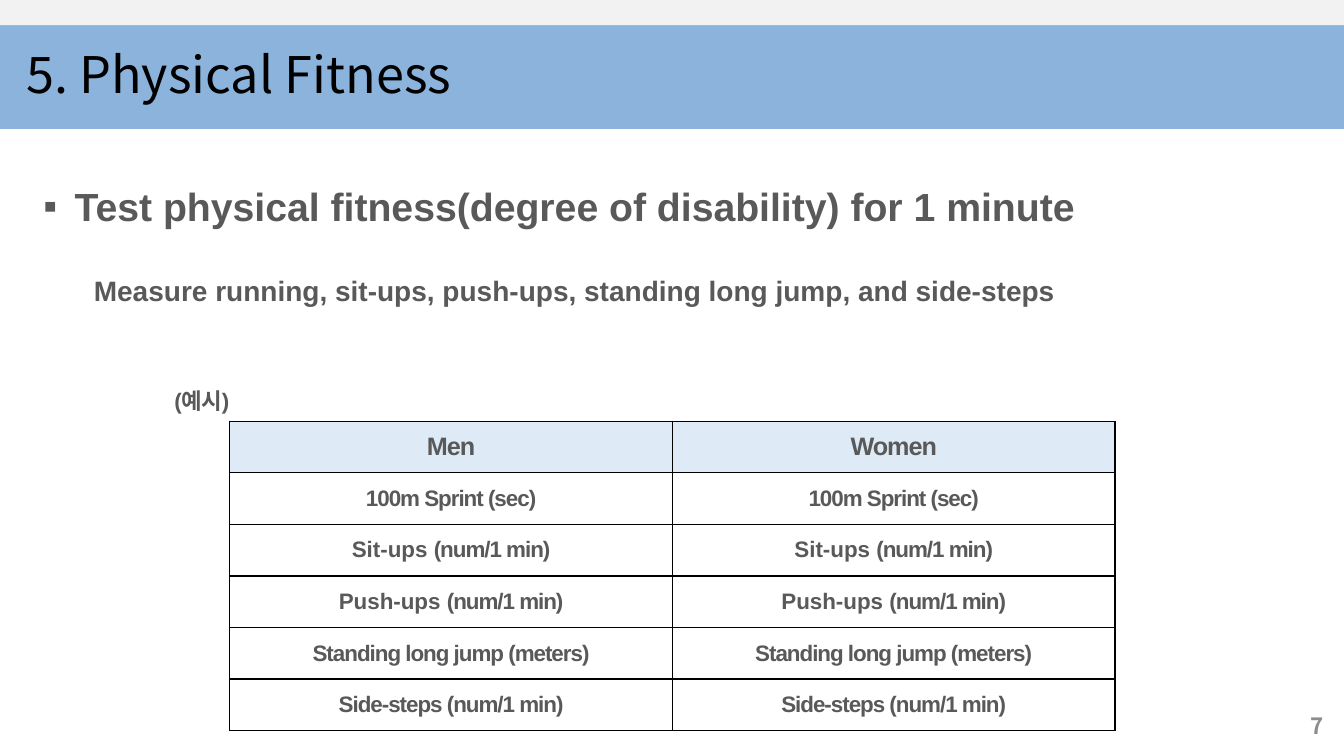
from lxml.etree import SubElement
from pptx import Presentation
from pptx.dml.color import RGBColor
from pptx.enum.shapes import MSO_SHAPE
from pptx.enum.text import MSO_ANCHOR, MSO_AUTO_SIZE, PP_ALIGN
from pptx.oxml.ns import qn
from pptx.util import Inches, Pt

TITLE = "5. Physical Fitness"
HEADLINE = "Test physical fitness(degree of disability) for 1 minute"
DETAIL = "Measure running, sit-ups, push-ups, standing long jump, and side-steps"
EXAMPLE_LABEL = "(예시)"
PAGE_NUMBER = "7"
GROUPS = ["Men", "Women"]
TESTS = [
    [("100m Sprint (sec)", -70)],
    [("Sit-ups ", 0), ("(num/1 min)", -70)],
    [("Push-ups ", 0), ("(num/1 min)", -70)],
    [("Standing long jump (meters)", -70)],
    [("Side-steps (num/1 min)", -70)],
]

BLACK = RGBColor(0x00, 0x00, 0x00)
GRAY_TEXT = RGBColor(0x59, 0x59, 0x59)
PAGE_GRAY = RGBColor(0x8C, 0x8C, 0x8C)
BANNER_BLUE = RGBColor(0x8B, 0xB3, 0xDC)
STRIP_GRAY = RGBColor(0xF2, 0xF2, 0xF2)
HEADER_BLUE = RGBColor(0xDE, 0xEB, 0xF7)
LATIN_FONT = "Arial"
KOREAN_FONT = "Noto Sans CJK KR"


def place(shape, left, top, width, height):
    shape.left, shape.top = Inches(left), Inches(top)
    shape.width, shape.height = Inches(width), Inches(height)


def style(paragraph, size, color=GRAY_TEXT, name=LATIN_FONT, bold=True):
    font = paragraph.font
    font.size, font.name, font.bold = Pt(size), name, bold
    font.color.rgb = color
    properties = paragraph._p.get_or_add_pPr().find(qn("a:defRPr"))
    SubElement(properties, qn("a:ea"), typeface=KOREAN_FONT)


def add_band(slide, height, color):
    band = slide.shapes.add_shape(
        MSO_SHAPE.RECTANGLE, 0, Inches(-0.03), Inches(13.33), Inches(height))
    band.shadow.inherit = False
    band.fill.solid()
    band.fill.fore_color.rgb = color
    band.line.fill.background()


def add_spaced_runs(paragraph, runs):
    for text, spacing in runs:
        run = paragraph.add_run()
        run.text = text
        run._r.get_or_add_rPr().set("spc", str(spacing))


def format_body_line(paragraph, size, before, margin, indent, bullet=None):
    paragraph.line_spacing = 1.5
    paragraph.space_before = Pt(before)
    properties = paragraph._p.get_or_add_pPr()
    properties.set("marL", str(Inches(margin)))
    properties.set("indent", str(Inches(indent)))
    if bullet:
        SubElement(properties, qn("a:buFont"), typeface=LATIN_FONT)
        SubElement(properties, qn("a:buChar"), char=bullet)
    else:
        SubElement(properties, qn("a:buNone"))
    style(paragraph, size)


def add_borders(cell):
    properties = cell._tc.get_or_add_tcPr()
    for position, side in enumerate(("a:lnL", "a:lnR", "a:lnT", "a:lnB")):
        line = properties.makeelement(qn(side), {"w": str(Pt(1))})
        fill = SubElement(line, qn("a:solidFill"))
        SubElement(fill, qn("a:srgbClr"), val=str(BLACK))
        properties.insert(position, line)


def add_test_table(slide):
    rows = [[[(group, -70)] for group in GROUPS]]
    rows += [[test] * len(GROUPS) for test in TESTS]
    frame = slide.shapes.add_table(
        len(rows), len(GROUPS), Inches(2.28), Inches(4.18), Inches(8.78), Inches(3.07))
    table = frame.table
    table.first_row = table.horz_banding = False
    for row_index, row in enumerate(rows):
        for column_index, runs in enumerate(row):
            cell = table.cell(row_index, column_index)
            cell.vertical_anchor = MSO_ANCHOR.MIDDLE
            if row_index == 0:
                cell.fill.solid()
                cell.fill.fore_color.rgb = HEADER_BLUE
            else:
                cell.fill.background()
            add_borders(cell)
            paragraph = cell.text_frame.paragraphs[0]
            paragraph.alignment = PP_ALIGN.CENTER
            add_spaced_runs(paragraph, runs)
            style(paragraph, 18 if row_index == 0 else 16)


def main():
    presentation = Presentation()
    presentation.slide_width, presentation.slide_height = Inches(13.33), Inches(7.5)
    slide = presentation.slides.add_slide(presentation.slide_layouts[1])
    title, body = slide.placeholders

    add_band(slide, 1.31, BANNER_BLUE)
    add_band(slide, 0.28, STRIP_GRAY)
    for placeholder in (title, body):
        slide.shapes._spTree.append(placeholder._element)

    place(title, 0.16, 0.25, 11.5, 1.04)
    title.text_frame.text = TITLE
    title.text_frame.vertical_anchor = MSO_ANCHOR.MIDDLE
    title_line = title.text_frame.paragraphs[0]
    title_line.alignment = PP_ALIGN.LEFT
    title_line.line_spacing = 0.9
    style(title_line, 36, BLACK, KOREAN_FONT, False)

    place(body, 0.33, 1.53, 12.67, 1.24)
    body.text_frame.auto_size = MSO_AUTO_SIZE.NONE
    body.text_frame.text = HEADLINE
    format_body_line(body.text_frame.paragraphs[0], 28, 2, 0.31, -0.31, "▪")
    detail_line = body.text_frame.add_paragraph()
    detail_line.text = DETAIL
    detail_line.level = 1
    format_body_line(detail_line, 20, 19.5, 0.5, 0)

    page_box = slide.shapes.add_textbox(Inches(10.23), Inches(7), Inches(3), Inches(0.4))
    page_box.text_frame.text = PAGE_NUMBER
    page_box.text_frame.word_wrap = True
    page_box.text_frame.vertical_anchor = MSO_ANCHOR.MIDDLE
    page_line = page_box.text_frame.paragraphs[0]
    page_line.alignment = PP_ALIGN.RIGHT
    style(page_line, 16, PAGE_GRAY, KOREAN_FONT)

    label_box = slide.shapes.add_textbox(Inches(1.63), Inches(3.75), Inches(10.08), Inches(3.5))
    label_box.text_frame.word_wrap = True
    label_line = label_box.text_frame.paragraphs[0]
    label_line.line_spacing = Pt(22)
    add_spaced_runs(label_line, [(EXAMPLE_LABEL, -70)])
    style(label_line, 16)

    add_test_table(slide)
    presentation.save("out.pptx")


if __name__ == "__main__":
    main()
